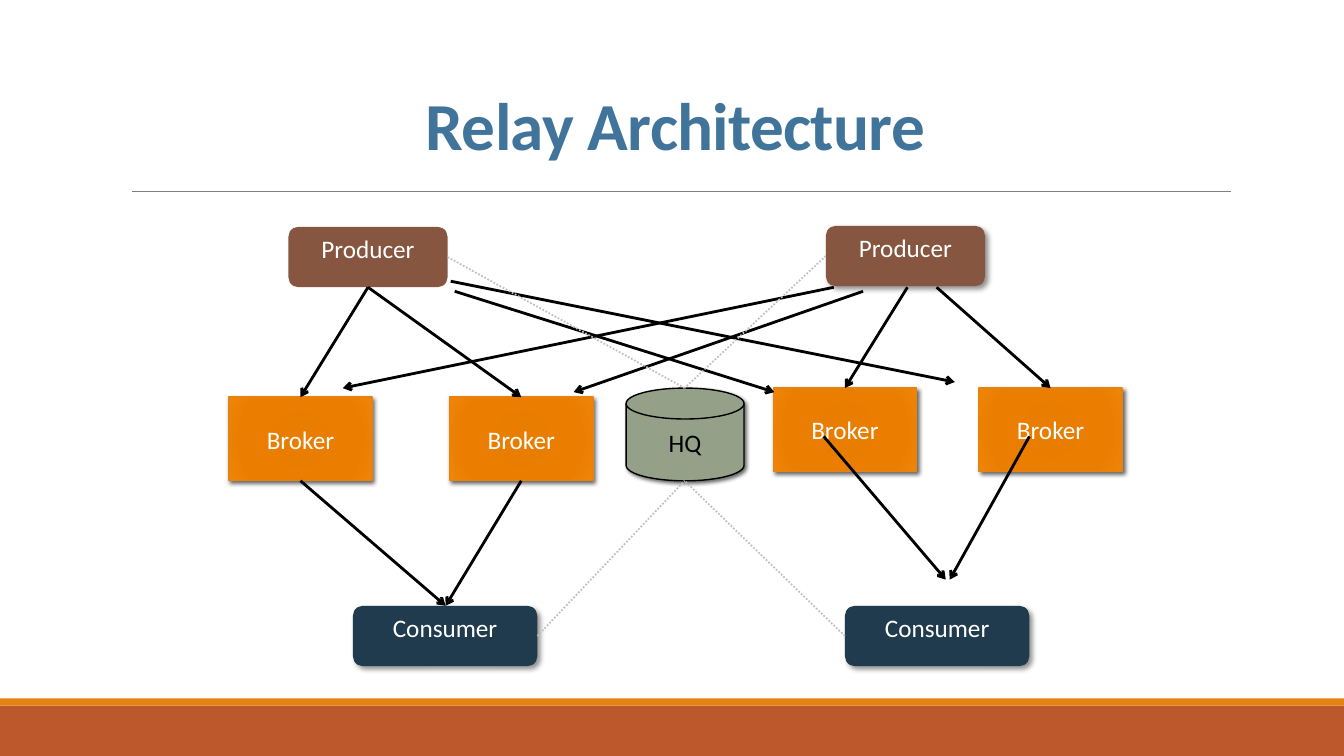
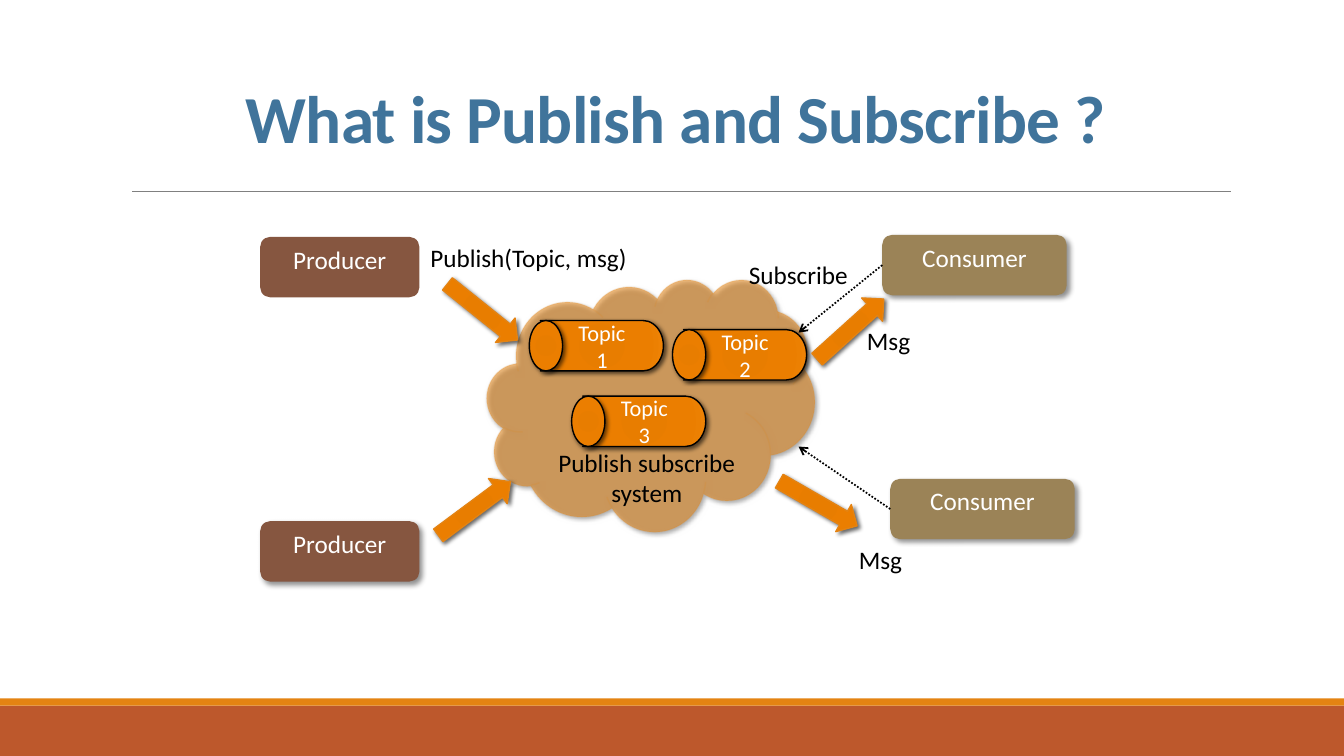
import dataclasses
import typing

import pptx
import pptx.dml.color
import pptx.enum.dml
import pptx.enum.shapes
import pptx.enum.text
import pptx.oxml
import pptx.oxml.ns
import pptx.util

Inches = pptx.util.Inches
Pt = pptx.util.Pt
Form = pptx.enum.shapes.MSO_SHAPE
Anchor = pptx.enum.text.MSO_ANCHOR
Align = pptx.enum.text.PP_ALIGN
Fit = pptx.enum.text.MSO_AUTO_SIZE
qn = pptx.oxml.ns.qn

FONT = "Calibri"
HEX = {
    "rust": "BD582C",
    "orange": "E48312",
    "rim": "E4810C",
    "gray": "808080",
    "pale": "BFBFBF",
    "blue": "40749B",
    "brown": "865640",
    "navy": "203A4E",
    "tan": "9B8357",
    "sage": "94A088",
    "black": "000000",
    "white": "FFFFFF",
}
GLOW = ((0, "E57B00"), (34, "E87D00"), (70, "EB7E00"), (100, "EF8407"))


class Shade(typing.NamedTuple):
    alpha: int
    blur: int
    gap: int


SOFT = Shade(43, 4, 3)
FIRM = Shade(60, 3, 2)


@dataclasses.dataclass(frozen=True)
class Kind:
    form: Form
    wide: float
    high: float
    fill: str
    edge: str = ""
    shade: Shade | None = None
    ink: str = "white"
    size: int = 18
    frame: dict = dataclasses.field(
        default_factory=lambda: {"vertical_anchor": Anchor.MIDDLE}
    )
    alpha: int = 100
    rim: int = 100
    flip: bool = False


class Node(typing.NamedTuple):
    kind: Kind
    left: float
    top: float
    text: str = ""
    turn: float = 0


class Stroke(typing.NamedTuple):
    color: str
    width: float
    dots: bool = False
    arrow: bool = False


class Label(typing.NamedTuple):
    left: float
    top: float
    wide: float
    high: float
    lines: tuple
    align: Align = Align.LEFT


PAD = {
    "vertical_anchor": Anchor.TOP,
    "margin_left": Inches(0.07),
    "margin_right": Inches(0.07),
    "margin_top": Inches(0.04),
    "margin_bottom": Inches(0.04),
}
BAND = Kind(Form.RECTANGLE, 13.33, 0.5, "rust")
STRIP = Kind(Form.RECTANGLE, 13.33, 0.07, "orange")
MAKER = Kind(Form.ROUNDED_RECTANGLE, 1.58, 0.6, "brown", shade=SOFT, frame=PAD)
FLAT = dataclasses.replace(MAKER, shade=None)
USER = dataclasses.replace(MAKER, wide=1.83, fill="navy")
READER = dataclasses.replace(USER, fill="tan")
BROKER = Kind(Form.RECTANGLE, 1.42, 0.83, "glow", "orange", FIRM)
DISK = Kind(Form.FLOWCHART_MAGNETIC_DISK, 1.17, 0.92, "sage", "black", FIRM, "black")
CLOUD = Kind(Form.CLOUD, 3.25, 2.5, "orange", "rim", FIRM, alpha=53, rim=13)
TUBE = Kind(Form.FLOWCHART_STORED_DATA, 1.22, 0.5, "glow", "black", FIRM, size=16, flip=True)
CAP = Kind(Form.OVAL, 0.33, 0.5, "glow", "black", FIRM)
ARROW = Kind(Form.RIGHT_ARROW, 0.89, 0.31, "glow", "orange", FIRM)

RULE = Stroke("gray", 0.5)
FLOW = Stroke("black", 2, arrow=True)
WATCH = Stroke("pale", 1.25, dots=True)
PULL = Stroke("black", 1.25, dots=True, arrow=True)


def rgb(name: str) -> pptx.dml.color.RGBColor:
    return pptx.dml.color.RGBColor.from_string(HEX[name])


def node_xml(text: str):
    space = 'xmlns:a="http://schemas.openxmlformats.org/drawingml/2006/main"'
    return pptx.oxml.parse_xml(text.replace(" ", f" {space} ", 1))


def fade(part, alpha: int) -> None:
    if alpha < 100:
        tint = next(part.iter(qn("a:srgbClr")))
        tint.append(node_xml(f'<a:alpha val="{alpha * 1000}"/>'))


def write(frame, lines: tuple, size: int, ink: str, align: Align, form: dict) -> None:
    frame.word_wrap = True
    for key, value in form.items():
        setattr(frame, key, value)
    for index, text in enumerate(lines):
        para = frame.add_paragraph() if index else frame.paragraphs[0]
        para.alignment = align
        run = para.add_run()
        run.text = text
        for key, value in {"name": FONT, "size": Pt(size)}.items():
            setattr(run.font, key, value)
        run.font.color.rgb = rgb(ink)


def draw(shapes, node: Node) -> None:
    kind = node.kind
    box = map(Inches, (node.left, node.top, kind.wide, kind.high))
    shape = shapes.add_shape(kind.form, *box)
    shape.rotation = node.turn
    shape.shadow.inherit = False
    props = shape.element.spPr
    if kind.fill == "glow":
        shape.fill.gradient()
        grad = props.find(qn("a:gradFill"))
        stops = "".join(
            f'<a:gs pos="{spot * 1000}"><a:srgbClr val="{tone}"/></a:gs>'
            for spot, tone in GLOW
        )
        grad.getparent().replace(grad, node_xml(
            f'<a:gradFill rotWithShape="1"><a:gsLst>{stops}</a:gsLst>'
            '<a:path path="circle"><a:fillToRect l="100000" t="100000" '
            'r="100000" b="100000"/></a:path></a:gradFill>'
        ))
    else:
        shape.fill.solid()
        shape.fill.fore_color.rgb = rgb(kind.fill)
        fade(props.find(qn("a:solidFill")), kind.alpha)
    if kind.edge:
        shape.line.color.rgb = rgb(kind.edge)
        shape.line.width = Pt(1)
        fade(props.find(qn("a:ln")), kind.rim)
    else:
        shape.line.fill.background()
    if kind.shade:
        alpha, blur, gap = kind.shade
        props.find(qn("a:effectLst")).append(node_xml(
            f'<a:outerShdw blurRad="{Pt(blur)}" dist="{Pt(gap)}" dir="2700000" '
            f'rotWithShape="0"><a:srgbClr val="{HEX["black"]}">'
            f'<a:alpha val="{alpha * 1000}"/></a:srgbClr></a:outerShdw>'
        ))
    if kind.flip:
        props.find(qn("a:xfrm")).set("flipH", "1")
    if node.text:
        write(shape.text_frame, (node.text,), kind.size, kind.ink, Align.CENTER, kind.frame)


def link(shapes, stroke: Stroke, ends: tuple) -> None:
    line = shapes.add_connector(
        pptx.enum.shapes.MSO_CONNECTOR.STRAIGHT, *map(Inches, ends)
    )
    line.line.color.rgb = rgb(stroke.color)
    line.line.width = Pt(stroke.width)
    if stroke.dots:
        line.line.dash_style = pptx.enum.dml.MSO_LINE.ROUND_DOT
    props = line.element.spPr
    if stroke.arrow:
        props.find(qn("a:ln")).append(node_xml('<a:tailEnd type="arrow"/>'))
    props.append(node_xml("<a:effectLst />"))


def note(shapes, label: Label) -> None:
    box = shapes.add_textbox(*map(Inches, label[:4]))
    form = {"auto_size": Fit.SHAPE_TO_FIT_TEXT}
    write(box.text_frame, label.lines, 18, "black", label.align, form)


def start(deck, title: str, high: float):
    shapes = deck.slides.add_slide(deck.slide_layouts[6]).shapes
    draw(shapes, Node(BAND, 0, 7))
    draw(shapes, Node(STRIP, 0, 6.93))
    link(shapes, RULE, (1.31, 1.9, 12.21, 1.9))
    box = shapes.add_textbox(*map(Inches, (1.2, 0.31, 11, high)))
    form = {"vertical_anchor": Anchor.BOTTOM}
    write(box.text_frame, (title,), 48, "blue", Align.CENTER, form)
    para = box.text_frame.paragraphs[0]
    para.line_spacing = 0.85
    para.runs[0].font.bold = True
    para.runs[0]._r.get_or_add_rPr().set("spc", "-50")
    return shapes


def build_map(deck) -> None:
    shapes = start(deck, "Relay Architecture", 1.37)
    nodes = [
        Node(FLAT, 2.86, 2.25, "Producer"),
        Node(MAKER, 8.19, 2.24, "Producer"),
        *(Node(USER, left, 6.01, "Consumer") for left in (3.5, 8.38)),
        *(Node(BROKER, left, top, "Broker")
          for left, top in ((2.27, 3.94), (4.46, 3.94), (7.67, 3.85), (9.71, 3.85))),
        Node(DISK, 6.21, 3.85, "HQ"),
    ]
    for node in nodes:
        draw(shapes, node)
    flows = (
        (3.65, 2.85, 2.98, 3.94),
        (3.65, 2.85, 5.17, 3.94),
        (9.29, 2.85, 10.42, 3.85),
        (9, 2.85, 8.38, 3.85),
        (2.98, 4.77, 4.42, 6.01),
        (8.17, 4.33, 9.38, 5.75),
        (5.17, 4.77, 4.42, 6.01),
        (10.21, 4.33, 9.42, 5.75),
        (4.51, 2.89, 7.68, 3.89),
        (8.56, 2.89, 5.69, 3.89),
        (8.27, 2.85, 3.4, 3.85),
        (4.47, 2.79, 9.47, 3.79),
    )
    for ends in flows:
        link(shapes, FLOW, ends)
    for left, top, hub in (
        (4.44, 2.55, 3.85), (8.19, 2.54, 3.85), (5.33, 6.31, 4.77), (8.38, 6.31, 4.77)
    ):
        link(shapes, WATCH, (left, top, 6.79, hub))


def build_topics(deck) -> None:
    shapes = start(deck, "What is Publish and Subscribe ?", 1.3)
    for node in (
        Node(FLAT, 2.58, 2.35, "Producer"),
        Node(READER, 8.75, 2.33, "Consumer"),
        Node(MAKER, 2.58, 5.17, "Producer"),
        Node(READER, 8.83, 4.75, "Consumer"),
        Node(CLOUD, 4.83, 2.77),
    ):
        draw(shapes, node)
    spots = ((5.25, 3.18), (6.67, 3.27), (5.67, 3.93))
    for count, (left, top) in enumerate(spots, 1):
        group = shapes.add_group_shape().shapes
        draw(group, Node(TUBE, left + 0.11, top, f"Topic {count}"))
        draw(group, Node(CAP, left, top))
    for left, top, turn in (
        (4.34, 2.94, 38.7), (4.26, 4.89, 323.4), (7.99, 3.11, 318), (7.67, 4.84, 29.9)
    ):
        draw(shapes, Node(ARROW, left, top, turn=turn))
    for ends in ((8.75, 2.63, 7.92, 3.3), (8.83, 5.05, 7.92, 4.43)):
        link(shapes, PULL, ends)
    for label in (
        Label(7.33, 2.52, 1.33, 0.4, ("Subscribe",)),
        Label(4.17, 2.35, 2.33, 0.4, ("Publish(Topic, msg)",)),
        Label(5.33, 4.39, 2.17, 0.71, ("Publish subscribe", "system"), Align.CENTER),
        Label(8.5, 3.18, 0.83, 0.4, ("Msg",)),
        Label(8.42, 5.35, 0.83, 0.4, ("Msg",)),
    ):
        note(shapes, label)


def main() -> None:
    deck = pptx.Presentation()
    deck.slide_width = Inches(13.33)
    deck.slide_height = Inches(7.5)
    build_map(deck)
    build_topics(deck)
    deck.save("out.pptx")


if __name__ == "__main__":
    main()
